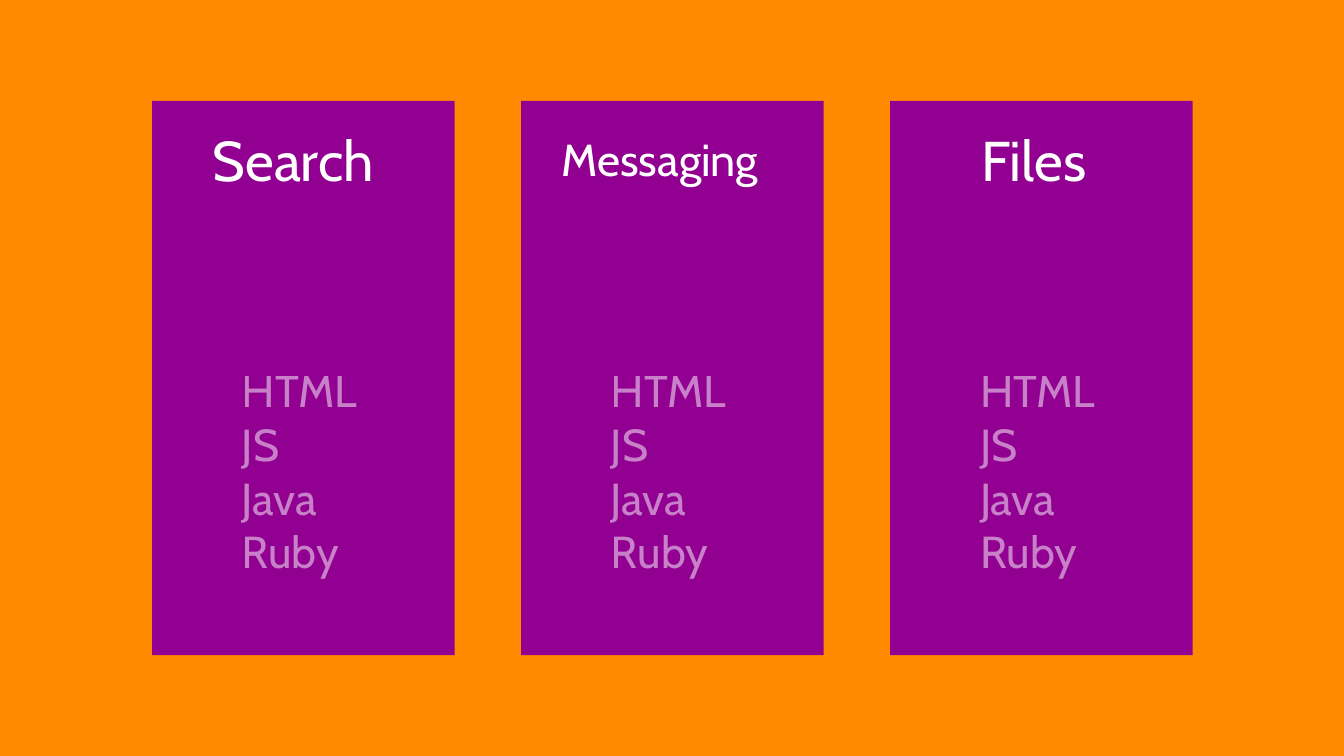
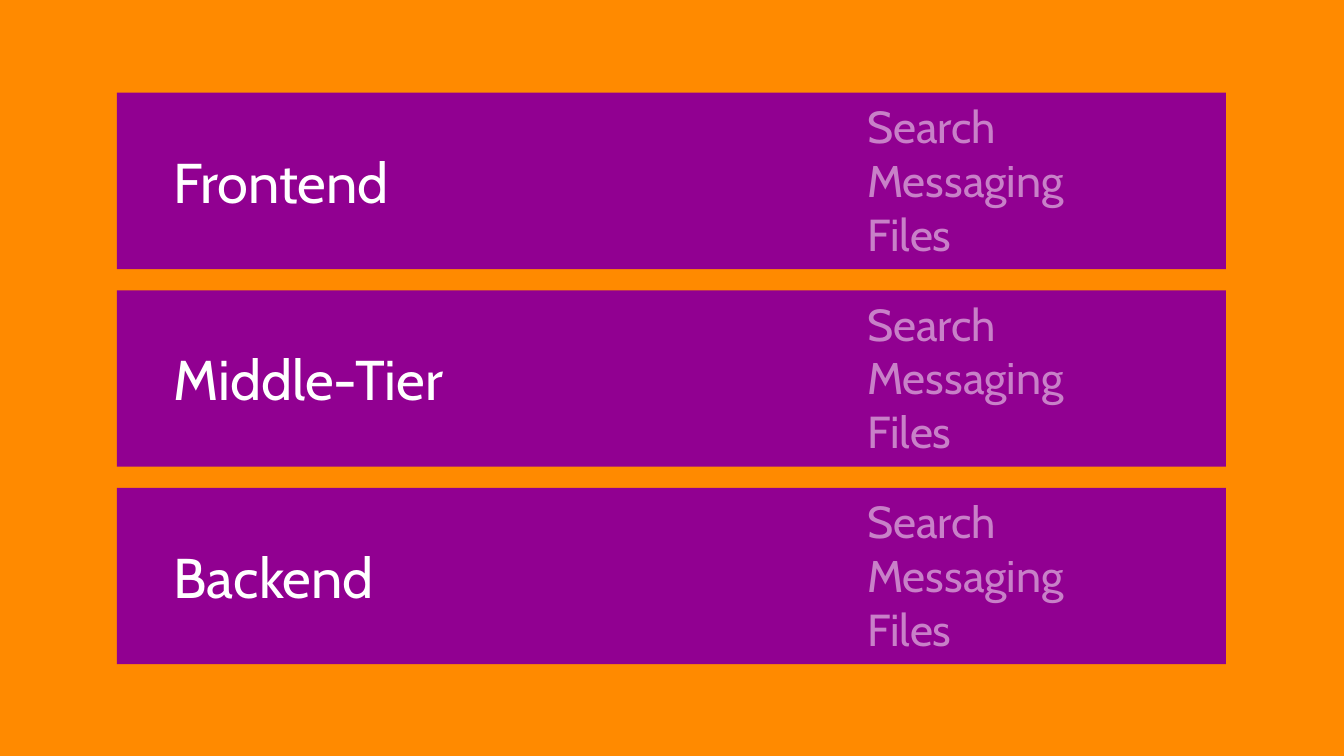
from lxml.etree import SubElement
from pptx import Presentation
from pptx.dml.color import RGBColor
from pptx.enum.shapes import MSO_SHAPE
from pptx.oxml.ns import qn
from pptx.util import Emu, Pt

PX = 9144  # 100 px to the inch
FONT = "Cabin"
ORANGE, PURPLE, WHITE = "FF8A00", "910091", "FFFFFF"
HEADING_SIZE, LIST_SIZE = 40, 32
LINE_HEIGHT = 1.68  # px per point of text size

LANGUAGES = ["HTML", "JS", "Java", "Ruby"]
FEATURES = ["Search", "Messaging", "Files"]
# name, left inset, text width, text size
PILLARS = [
    ("Search", 60, 178, HEADING_SIZE),
    ("Messaging", 40, 217, LIST_SIZE),
    ("Files", 90, 118, HEADING_SIZE),
]
# name, text width
TIERS = [("Frontend", 225), ("Middle-Tier", 278), ("Backend", 218)]


def px(n):
    return Emu(n * PX)


def paint(fill, color):
    fill.solid()
    fill.fore_color.rgb = RGBColor.from_string(color)


def add_panel(group, x, y, w, h):
    sp = group.shapes.add_shape(MSO_SHAPE.RECTANGLE, px(x), px(y), px(w), px(h))
    sp.shadow.inherit = False
    paint(sp.fill, PURPLE)
    sp.line.fill.background()


def add_lines(group, lines, x, y, w, size, alpha=None):
    """Add a text box with one paragraph per line; alpha is a percentage."""
    h = round(size * LINE_HEIGHT) * len(lines)
    tf = group.shapes.add_textbox(px(x), px(y), px(w), px(h)).text_frame
    tf.word_wrap = True
    tf.margin_left = tf.margin_top = tf.margin_right = tf.margin_bottom = 0
    for i, line in enumerate(lines):
        p = tf.add_paragraph() if i else tf.paragraphs[0]
        p.text = line
        p.font.name = FONT
        p.font.size = Pt(size)
        paint(p.font.fill, WHITE)
        if alpha is not None:
            for clr in p._p.iter(qn("a:srgbClr")):
                SubElement(clr, qn("a:alpha"), val=str(alpha * 1000))


def add_heading(group, text, x, middle, w, size=HEADING_SIZE):
    """Add a one-line heading centred vertically on middle."""
    add_lines(group, [text], x, middle - round(size * LINE_HEIGHT) // 2, w, size)


def add_pillar(slide, x, y, w, h, name, inset, text_w, size):
    group = slide.shapes.add_group_shape()
    add_panel(group, x, y, w, h)
    add_heading(group, name, x + inset, y + 58, text_w, size)
    add_lines(group, LANGUAGES, x + 89, y + 260, 121, LIST_SIZE, alpha=50)


def add_tier(slide, x, y, w, h, name, text_w):
    group = slide.shapes.add_group_shape()
    add_panel(group, x, y, w, h)
    add_heading(group, name, x + 56, y + 87, text_w)
    add_lines(group, FEATURES, x + 744, y + 6, 217, LIST_SIZE, alpha=50)


def build_pillars(slide, x=151, y=100, w=300, h=550, gap=66):
    for i, pillar in enumerate(PILLARS):
        add_pillar(slide, x + i * (w + gap), y, w, h, *pillar)


def build_tiers(slide, x=116, y=92, w=1100, h=175, gap=21):
    for i, tier in enumerate(TIERS):
        add_tier(slide, x, y + i * (h + gap), w, h, *tier)


def main():
    prs = Presentation()
    prs.slide_width, prs.slide_height = px(1333), px(750)
    paint(prs.slide_master.background.fill, ORANGE)
    blank = prs.slide_layouts[6]
    for build in (build_pillars, build_tiers):
        build(prs.slides.add_slide(blank))
    prs.save("out.pptx")


if __name__ == "__main__":
    main()
